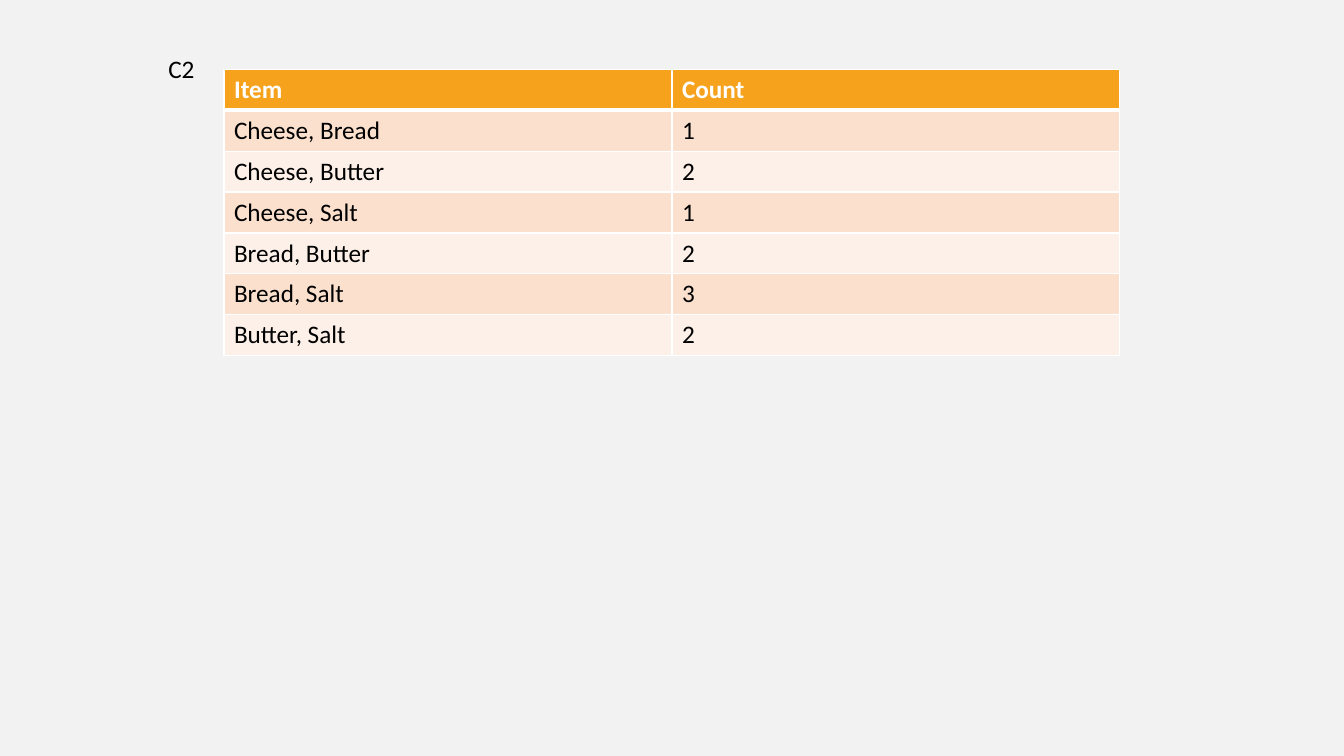
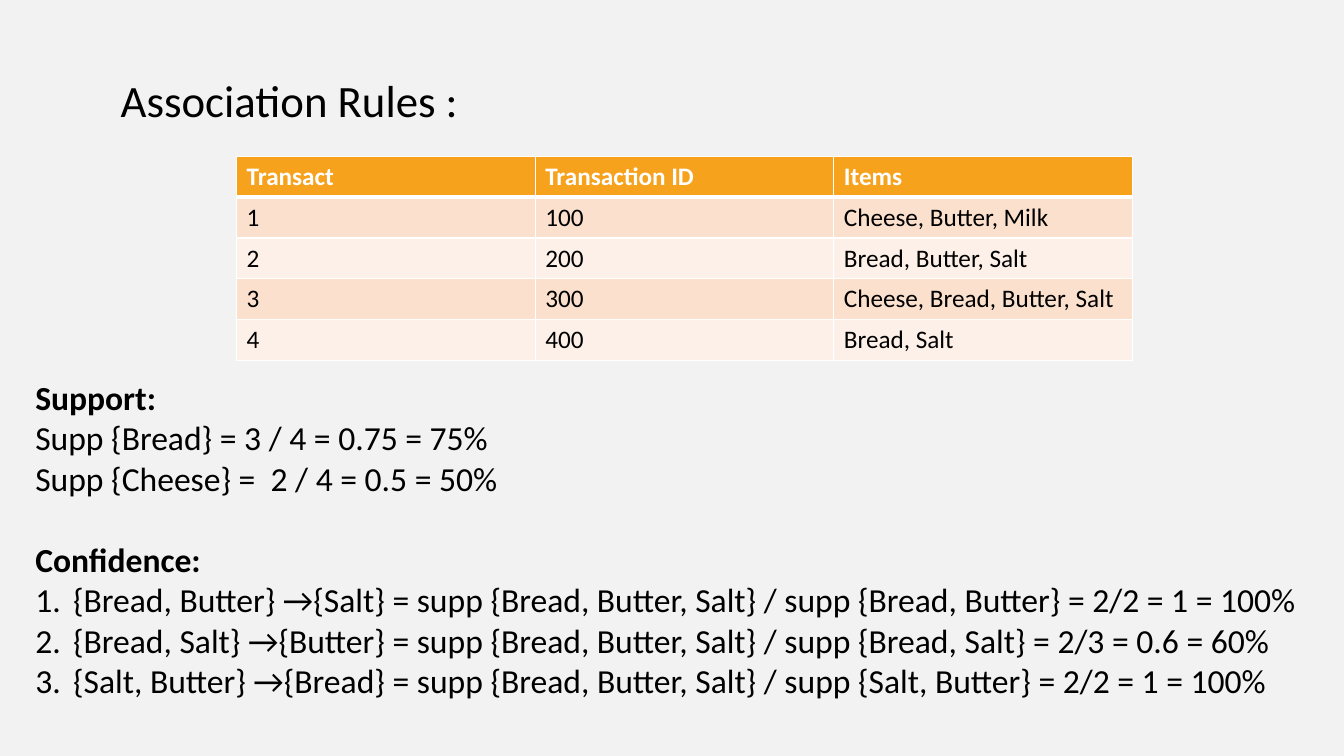
from dataclasses import dataclass

from lxml import etree
from pptx import Presentation
from pptx.dml.color import RGBColor
from pptx.enum import text
from pptx.oxml import ns
from pptx.util import Pt


@dataclass(frozen=True)
class Theme:
    font: str = "Calibri"
    page: str = "F2F2F2"
    ink: str = "000000"
    white: str = "FFFFFF"
    header: str = "F6A21D"
    bands: tuple = ("FBE0CD", "FDF0E8")
    title: int = 32
    body: int = 24
    small: int = 18
    line: int = 1
    header_line: int = 3
    row: float = 29.2
    table_width: int = 640


THEME = Theme()

PAIRS = [
    ("Item", "Count"),
    ("Cheese, Bread", "1"),
    ("Cheese, Butter", "2"),
    ("Cheese, Salt", "1"),
    ("Bread, Butter", "2"),
    ("Bread, Salt", "3"),
    ("Butter, Salt", "2"),
]
TRANSACTIONS = [
    ("Transact", "Transaction ID", "Items"),
    ("1", "100", "Cheese, Butter, Milk"),
    ("2", "200", "Bread, Butter, Salt"),
    ("3", "300", "Cheese, Bread, Butter, Salt"),
    ("4", "400", "Bread, Salt"),
]
MEASURES = [
    ("Support:", "head"),
    ("Supp {Bread} = 3 / 4 = 0.75 = 75%", "plain"),
    ("Supp {Cheese} =  2 / 4 = 0.5 = 50%", "plain"),
    ("Confidence:", "head"),
    ("{Bread, Butter} →{Salt} = supp {Bread, Butter, Salt} / supp {Bread, Butter} = 2/2 = 1 = 100%", "number"),
    ("{Bread, Salt} →{Butter} = supp {Bread, Butter, Salt} / supp {Bread, Salt} = 2/3 = 0.6 = 60%", "number"),
    ("{Salt, Butter} →{Bread} = supp {Bread, Butter, Salt} / supp {Salt, Butter} = 2/2 = 1 = 100%", "number"),
]
SLIDES = [
    dict(layout=5, title="C2", title_box=(113, 34.6, 37, 29), title_size=THEME.small,
         title_wrap=False, table=PAIRS, table_at=(160, 49.6), body=()),
    dict(layout=1, title="Association Rules :", title_box=(79, 48, 342, 58),
         title_size=THEME.title, title_wrap=True, table=TRANSACTIONS,
         table_at=(169, 111.6), body=MEASURES),
]
BODY_BOX = (18, 265.6, 942, 246)
BODY_GAP = 29.3
NUMBER_INDENT = 27


def assign(obj, values):
    for name, value in values.items():
        setattr(obj, name, value)


def place(sp, box):
    assign(sp, dict(zip(("left", "top", "width", "height"), map(Pt, box))))


def write(p, content, size, color=THEME.ink, bold=False):
    r = p.add_run()
    r.text = content
    assign(r.font, dict(name=THEME.font, size=Pt(size), bold=bold))
    r.font.color.rgb = RGBColor.from_string(color)


def set_frame(tf, wrap=True):
    assign(tf, dict(word_wrap=wrap, auto_size=text.MSO_AUTO_SIZE.NONE,
                    vertical_anchor=text.MSO_ANCHOR.TOP))


def set_bullet(p, numbered):
    pPr = p._p.get_or_add_pPr()
    indent = Pt(NUMBER_INDENT) if numbered else 0
    pPr.set("marL", str(indent))
    pPr.set("indent", str(-indent))
    if numbered:
        etree.SubElement(pPr, ns.qn("a:buAutoNum"), type="arabicPeriod")
    else:
        etree.SubElement(pPr, ns.qn("a:buNone"))


def set_borders(cell, row):
    tcPr = cell._tc.get_or_add_tcPr()
    heavy = {0: "B", 1: "T"}.get(row)
    for side in "LRTB":
        width = THEME.header_line if side == heavy else THEME.line
        ln = etree.SubElement(tcPr, ns.qn("a:ln" + side), w=str(Pt(width)))
        fill = etree.SubElement(ln, ns.qn("a:solidFill"))
        etree.SubElement(fill, ns.qn("a:srgbClr"), val=THEME.white)


def add_table(s, rows, at):
    columns = len(rows[0])
    size = (THEME.table_width, THEME.row * len(rows))
    table = s.shapes.add_table(len(rows), columns, *map(Pt, at + size)).table
    for column in table.columns:
        column.width = Pt(THEME.table_width / columns)
    for i, values in enumerate(rows):
        table.rows[i].height = Pt(THEME.row)
        for j, value in enumerate(values):
            cell = table.cell(i, j)
            set_borders(cell, i)
            cell.fill.solid()
            fill = THEME.bands[(i - 1) % 2] if i else THEME.header
            cell.fill.fore_color.rgb = RGBColor.from_string(fill)
            write(cell.text_frame.paragraphs[0], value, THEME.small,
                  THEME.ink if i else THEME.white, bold=i == 0)


def add_body(sp, lines):
    place(sp, BODY_BOX)
    tf = sp.text_frame
    set_frame(tf)
    for i, (content, kind) in enumerate(lines):
        p = tf.add_paragraph() if i else tf.paragraphs[0]
        p.space_before = Pt(BODY_GAP if i and kind == "head" else 0)
        set_bullet(p, kind == "number")
        write(p, content, THEME.body, bold=kind == "head")


def add_slide(prs, content):
    s = prs.slides.add_slide(prs.slide_layouts[content["layout"]])
    title = s.shapes.title
    place(title, content["title_box"])
    set_frame(title.text_frame, content["title_wrap"])
    p = title.text_frame.paragraphs[0]
    p.alignment = text.PP_ALIGN.LEFT
    write(p, content["title"], content["title_size"])
    if content["body"]:
        add_body(s.placeholders[1], content["body"])
    add_table(s, content["table"], content["table_at"])


def main():
    prs = Presentation()
    assign(prs, dict(slide_width=Pt(960), slide_height=Pt(540)))
    fill = prs.slide_master.background.fill
    fill.solid()
    fill.fore_color.rgb = RGBColor.from_string(THEME.page)
    for content in SLIDES:
        add_slide(prs, content)
    prs.save("out.pptx")


if __name__ == "__main__":
    main()
